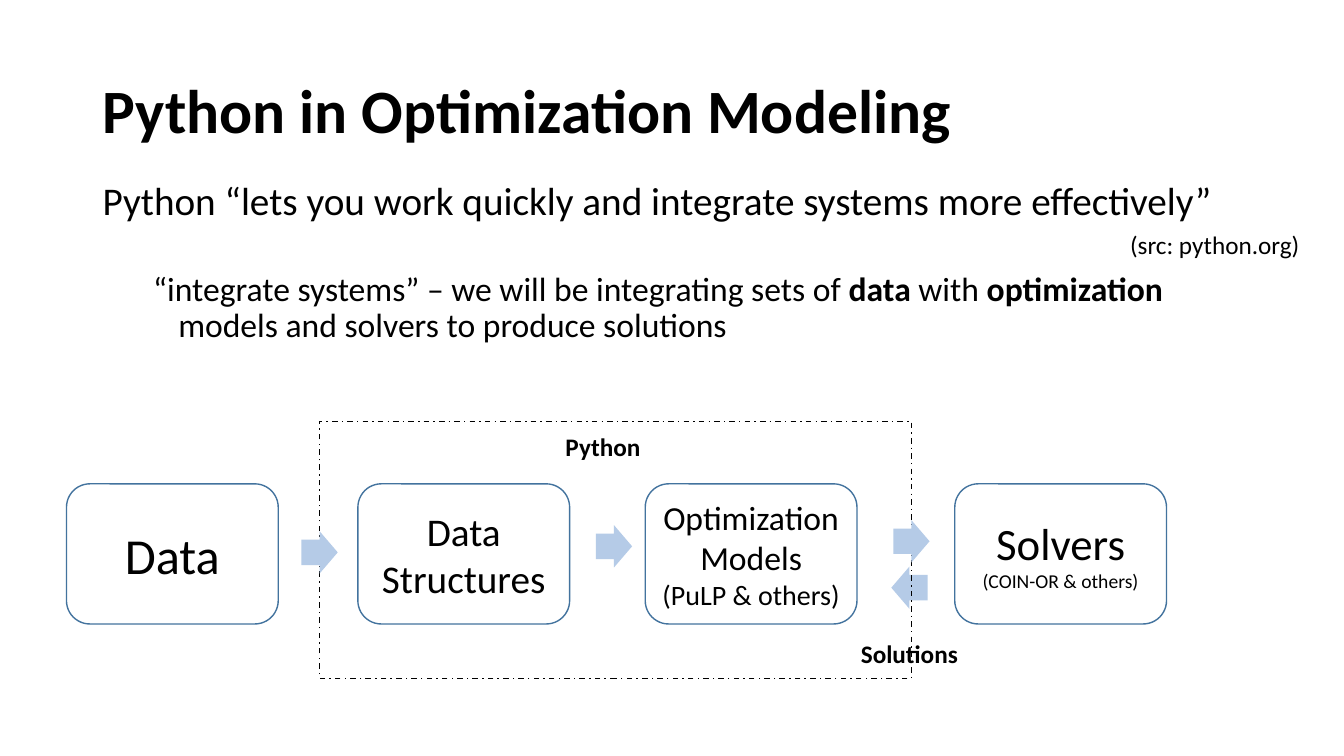
from pptx import Presentation
from pptx import util as u
from pptx.dml.color import RGBColor
from pptx.enum import dml, shapes, text

BLACK = RGBColor(0x00, 0x00, 0x00)
OUTLINE = RGBColor(0x43, 0x73, 0x9E)
ARROW_BLUE = RGBColor(0xB5, 0xCB, 0xE7)
FONT = "Calibri"

# Content: a paragraph is (list of (words, size, bold), paragraph format)
TITLE = [([("Python in Optimization Modeling", 44, True)], {"line_spacing": 0.9})]
BODY = [
    ([("Python “lets you work quickly and integrate systems more effectively”", 28, False)],
     {"line_spacing": 0.9, "space_before": u.Pt(10)}),
    ([("“integrate systems” – we will be integrating sets of ", 24, False),
      ("data", 24, True),
      (" with ", 24, False),
      ("optimization", 24, True),
      (" models and solvers to produce solutions", 24, False)],
     {"line_spacing": 0.9, "space_before": u.Pt(35), "level": 1}),
]
BODY_MARGINS = [0.25, 0.75]
HANGING = 0.25

# Labels: words, bold, left, top, width
SOLUTIONS = ("Solutions", True, 8.44, 6.28, 1.17)
PYTHON = ("Python", True, 5.51, 4.23, 0.95)
SOURCE = ("(src: python.org)", False, 11.11, 2.23, 1.9)
LABEL_HEIGHT = 0.4

# Process steps: left, lines of (words, size)
STEPS = [
    (0.66, [("Data", 36)]),
    (3.55, [("Data", 28), ("Structures", 28)]),
    (6.4, [("Optimization Models", 24), ("(PuLP & others)", 20)]),
    (9.47, [("Solvers", 32), ("(COIN-OR & others)", 14)]),
]
STEP_TOP, STEP_WIDTH, STEP_HEIGHT = 4.8, 2.1, 1.39
FRAME = (3.17, 4.18, 5.87, 2.55)

RETURN_ARROW = (8.84, 5.62)
FORWARD_ARROWS = [(8.86, 5.16), (5.91, 5.21), (2.99, 5.27)]
ARROW_SIZE = (0.36, 0.42)

deck = Presentation()
deck.slide_width, deck.slide_height = u.Inches(13.33), u.Inches(7.5)
page = deck.slides.add_slide(deck.slide_layouts[6])


def apply(target, values):
    for name, value in values.items():
        setattr(target, name, value)


def write(box, paragraphs, **frame_format):
    frame = box.text_frame
    apply(frame, {"word_wrap": True, **frame_format})
    for number, (spans, para_format) in enumerate(paragraphs):
        para = frame.add_paragraph() if number else frame.paragraphs[0]
        apply(para, para_format)
        for words, size, bold in spans:
            span = para.add_run()
            span.text = words
            apply(span.font, {"name": FONT, "size": u.Pt(size), "bold": bold})
            span.font.color.rgb = BLACK


def add_text(place, paragraphs, **frame_format):
    box = page.shapes.add_textbox(*map(u.Inches, place))
    write(box, paragraphs, **frame_format)
    return box


def add_label(words, bold, left, top, width):
    add_text((left, top, width, LABEL_HEIGHT), [([(words, 18, bold)], {})],
             word_wrap=False, auto_size=text.MSO_AUTO_SIZE.SHAPE_TO_FIT_TEXT)


def add_shape(kind, place, fill=None, line=None):
    shape = page.shapes.add_shape(kind, *map(u.Inches, place))
    shape.shadow.inherit = False
    for part, color in ((shape.fill, fill), (shape.line.fill, line)):
        if color is None:
            part.background()
        else:
            part.solid()
            part.fore_color.rgb = color
    if line is not None:
        shape.line.width = u.Pt(1)
    return shape


def add_arrow(corner, rotation=0):
    arrow = add_shape(shapes.MSO_SHAPE.RIGHT_ARROW, corner + ARROW_SIZE, fill=ARROW_BLUE)
    arrow.adjustments[0], arrow.adjustments[1] = 0.6, 0.5
    arrow.rotation = rotation


# Title and body
add_text((0.92, 0.4, 11.5, 1.45), TITLE, vertical_anchor=text.MSO_ANCHOR.MIDDLE)
body = add_text((0.92, 1.75, 11.5, 2), BODY)
for para, margin in zip(body.text_frame.paragraphs, BODY_MARGINS):
    properties = para._p.get_or_add_pPr()
    properties.set("marL", str(u.Inches(margin)))
    properties.set("indent", str(-u.Inches(HANGING)))

# Return flow and Python frame
add_arrow(RETURN_ARROW, rotation=180)
add_label(*SOLUTIONS)
frame_box = add_shape(shapes.MSO_SHAPE.RECTANGLE, FRAME, line=BLACK)
frame_box.line.dash_style = dml.MSO_LINE.DASH_DOT
add_label(*PYTHON)

# Process steps
for left, lines in STEPS:
    step = add_shape(shapes.MSO_SHAPE.ROUNDED_RECTANGLE,
                     (left, STEP_TOP, STEP_WIDTH, STEP_HEIGHT), line=OUTLINE)
    centred = {"alignment": text.PP_ALIGN.CENTER}
    write(step, [([(words, size, False)], centred) for words, size in lines],
          vertical_anchor=text.MSO_ANCHOR.MIDDLE)

# Forward flow and source
for corner in FORWARD_ARROWS:
    add_arrow(corner)
add_label(*SOURCE)

deck.save("out.pptx")
